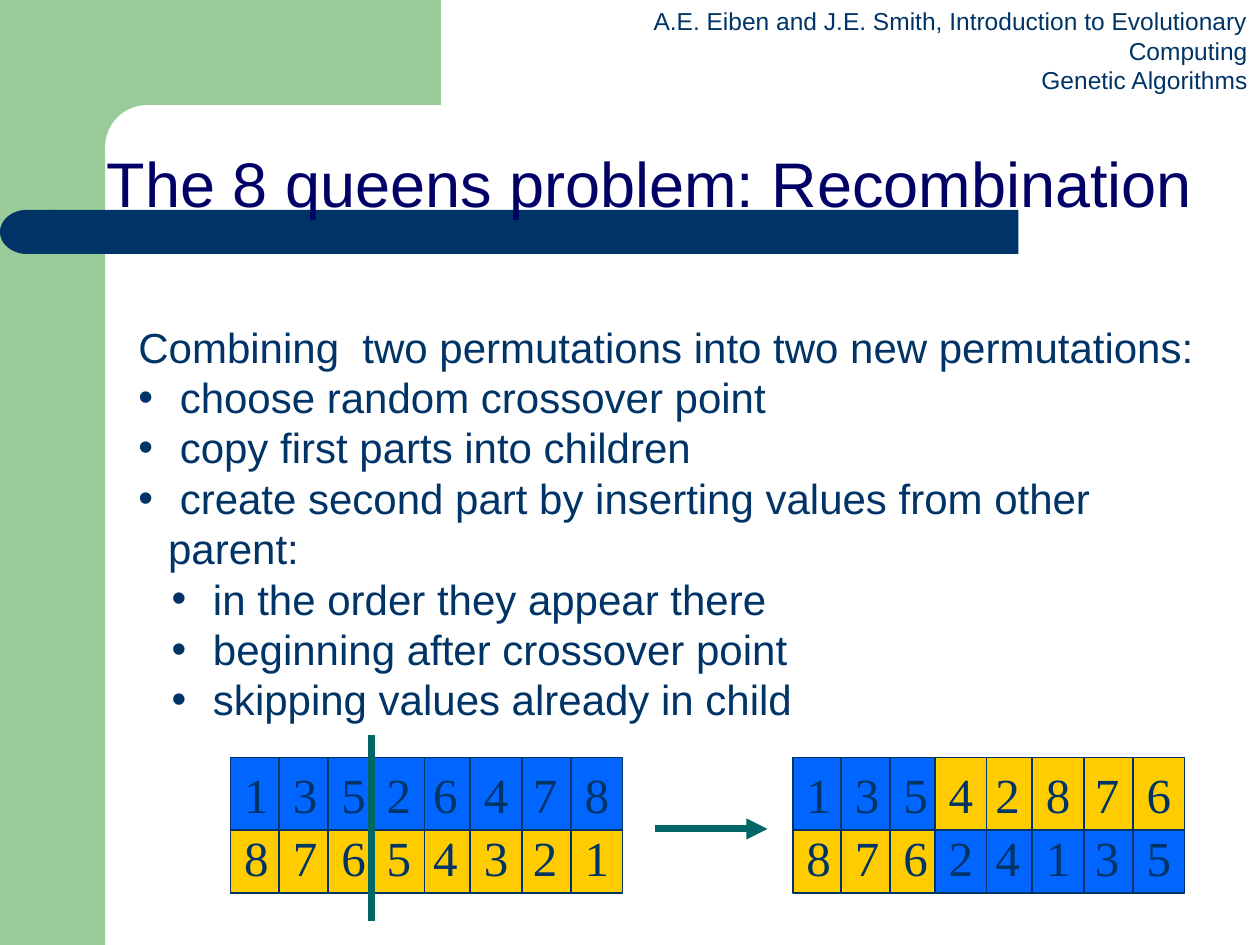
from lxml import etree
from pptx import Presentation
from pptx import util as u
from pptx.dml.color import RGBColor
from pptx.enum import shapes, text
from pptx.oxml.ns import qn

GREEN = RGBColor(0x99, 0xCC, 0x99)
WHITE = RGBColor(0xFF, 0xFF, 0xFF)
NAVY = RGBColor(0x00, 0x33, 0x66)
TITLE_BLUE = RGBColor(0x00, 0x00, 0x66)
TEAL = RGBColor(0x00, 0x66, 0x66)
YELLOW = RGBColor(0xFF, 0xCC, 0x00)
BLUE = RGBColor(0x00, 0x66, 0xFF)


def block(kind, left, top, width, height, fill):
    shape = slide.shapes.add_shape(kind, u.Cm(left), u.Cm(top), u.Cm(width), u.Cm(height))
    shape.shadow.inherit = False
    shape.fill.solid()
    shape.fill.fore_color.rgb = fill
    shape.line.fill.background()
    return shape


def write(frame, words, size, color=NAVY, font="Arial", align=text.PP_ALIGN.LEFT,
          spacing=None, margin=0, hanging=0, wrap=True, first=True):
    frame.word_wrap = wrap
    paragraph = frame.paragraphs[0] if first else frame.add_paragraph()
    if hanging:
        properties = paragraph._p.get_or_add_pPr()
        properties.set("marL", str(u.Cm(margin)))
        properties.set("indent", str(-u.Cm(hanging)))
        etree.SubElement(properties, qn("a:buFont"), typeface="Arial")
        etree.SubElement(properties, qn("a:buChar"), char="•")
    paragraph.alignment = align
    if spacing:
        paragraph.line_spacing = spacing
    run = paragraph.add_run()
    run.text = words
    run.font.size = u.Pt(size)
    run.font.name = font
    run.font.color.rgb = color


deck = Presentation()
deck.slide_width, deck.slide_height = u.Cm(25.4), u.Cm(19.05)
slide = deck.slides.add_slide(deck.slide_layouts[6])
KIND = shapes.MSO_SHAPE

block(KIND.RECTANGLE, 0, 0, 2.12, 19.05, GREEN)
block(KIND.RECTANGLE, 1.9, 0, 6.99, 2.96, GREEN)
corner = block(KIND.ROUNDED_RECTANGLE, 2.12, 2.12, 14.18, 1.69, WHITE)
corner.adjustments[0] = 0.5
block(KIND.RECTANGLE, 1.06, 4.23, 19.47, 0.89, NAVY)
bar_end = block(KIND.FLOWCHART_DELAY, 0, 4.23, 1.09, 0.89, NAVY)
bar_end.rotation = 180

header = slide.shapes.add_textbox(u.Cm(10.46), 0, u.Cm(14.94), u.Cm(1.45)).text_frame
for number, words in enumerate([
        "A.E. Eiben and J.E. Smith, Introduction to Evolutionary Computing",
        "Genetic Algorithms"]):
    write(header, words, 14, align=text.PP_ALIGN.RIGHT, spacing=u.Pt(16.8), first=number == 0)

title = slide.shapes.add_textbox(u.Cm(1.9), u.Cm(2.03), u.Cm(23.06), u.Cm(2.54)).text_frame
write(title, "The 8 queens problem: Recombination", 36, color=TITLE_BLUE, spacing=1.5)

method = slide.shapes.add_textbox(u.Cm(2.54), u.Cm(6.35), u.Cm(22.28), u.Cm(8.46)).text_frame
write(method, "Combining  two permutations into two new permutations:", 24, spacing=u.Pt(28.8))
for margin, steps in [
        (0.6, [" choose random crossover point",
               " copy first parts into children",
               " create second part by inserting values from other parent:"]),
        (1.27, [" in the order they appear there",
                " beginning after crossover point",
                " skipping values already in child"])]:
    for step in steps:
        write(method, step, 24, spacing=u.Pt(28.8), margin=margin, hanging=0.6, first=False)

gene_offsets = [0, 0.98, 1.96, 2.87, 3.81, 4.83, 5.82, 6.86]
drawing_order = [0, 1, 2, 4, 3, 7, 6, 5]
for left, top, genes, head_color, tail_color in [
        (15.98, 16.54, "87624135", YELLOW, BLUE),
        (15.98, 15.27, "13542876", BLUE, YELLOW),
        (4.65, 16.54, "87654321", YELLOW, YELLOW),
        (4.65, 15.27, "13526478", BLUE, BLUE)]:
    for position in drawing_order:
        color = head_color if position < 3 else tail_color
        gene = block(KIND.RECTANGLE, left + gene_offsets[position], top, 1.04, 1.47, color)
        gene.line.color.rgb = NAVY
        gene.line.width = u.Pt(1)
        write(gene.text_frame, genes[position], 28, font="Times New Roman",
              align=text.PP_ALIGN.CENTER, wrap=False)

for start_x, start_y, end_x, end_y, arrowhead in [
        (13.21, 16.71, 15.47, 16.71, True),
        (7.49, 14.81, 7.49, 18.57, False)]:
    stroke = slide.shapes.add_connector(
        shapes.MSO_CONNECTOR.STRAIGHT, u.Cm(start_x), u.Cm(start_y), u.Cm(end_x), u.Cm(end_y))
    stroke.line.color.rgb = TEAL
    stroke.line.width = u.Pt(4)
    if arrowhead:
        etree.SubElement(stroke.line._get_or_add_ln(), qn("a:tailEnd"), type="triangle")
    etree.SubElement(stroke._element.spPr, qn("a:effectLst"))

deck.save("out.pptx")
